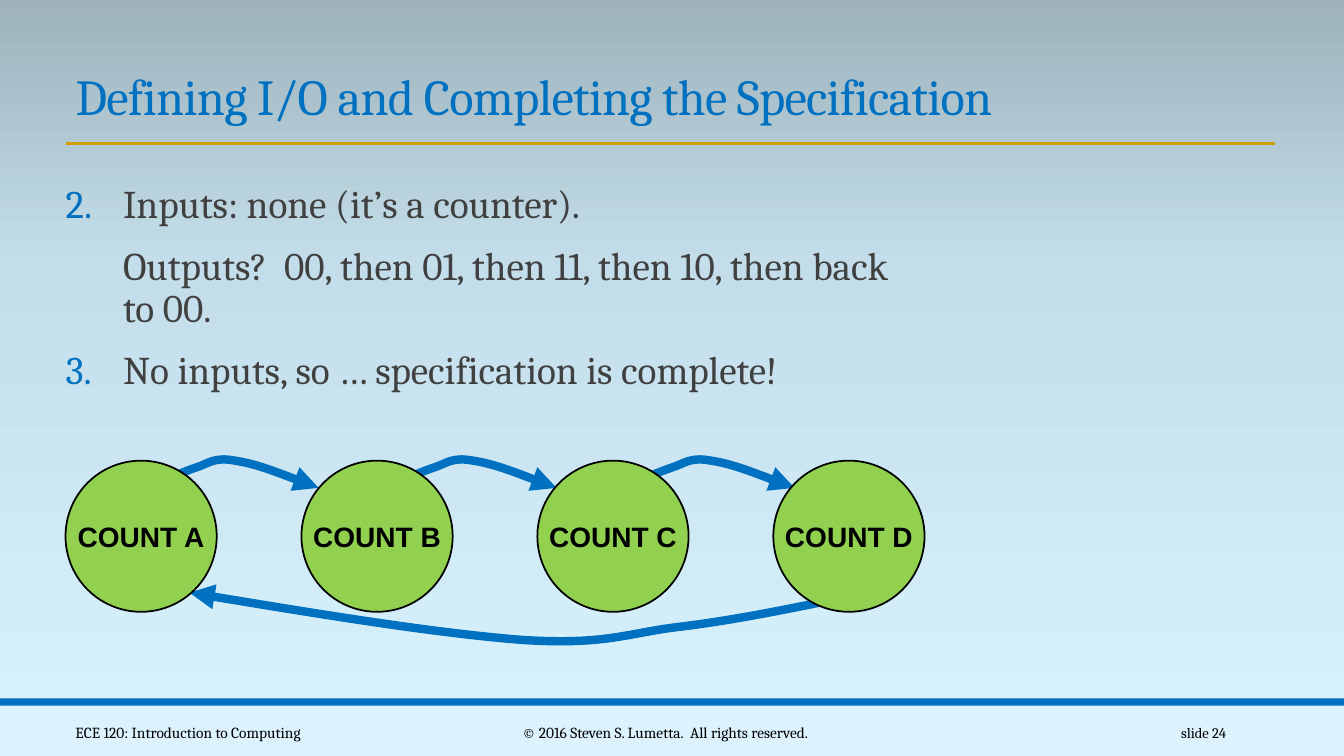
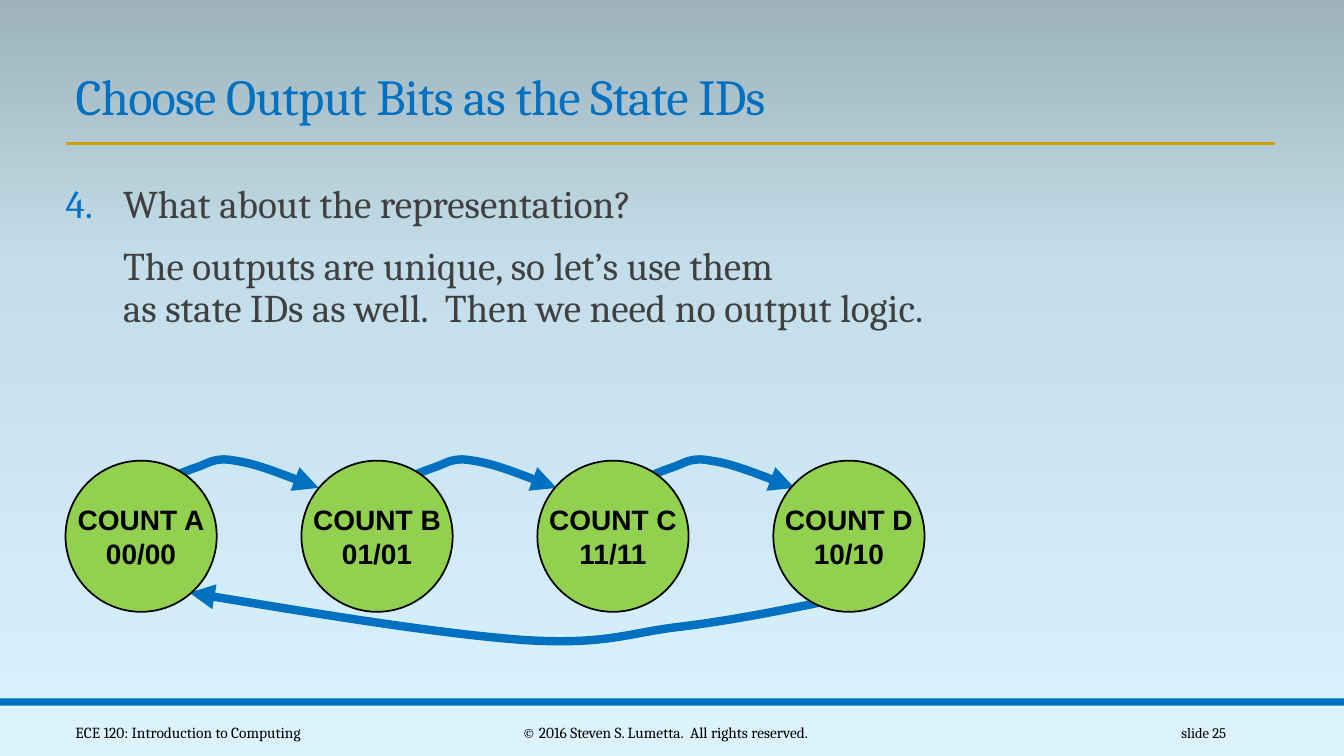
from copy import deepcopy
from dataclasses import dataclass

from lxml import etree
from pptx import Presentation
from pptx.dml.color import RGBColor
from pptx.enum.shapes import MSO_CONNECTOR, MSO_SHAPE
from pptx.enum.text import MSO_ANCHOR, MSO_AUTO_SIZE, PP_ALIGN
from pptx.oxml.ns import qn
from pptx.util import Inches, Pt

LEFT, CENTER, RIGHT = PP_ALIGN.LEFT, PP_ALIGN.CENTER, PP_ALIGN.RIGHT
MIDDLE, BOTTOM = MSO_ANCHOR.MIDDLE, MSO_ANCHOR.BOTTOM
NO_AUTOFIT = MSO_AUTO_SIZE.NONE
RECTANGLE, OVAL = MSO_SHAPE.RECTANGLE, MSO_SHAPE.OVAL
STRAIGHT = MSO_CONNECTOR.STRAIGHT
TITLE_ONLY = 5


@dataclass(frozen=True)
class Theme:
    accent: str = "0070C0"
    rule: str = "D09E00"
    band: str = "DCF3FD"
    body: str = "404040"
    ink: str = "000000"
    state: str = "92D050"
    backdrop: tuple = ((0, "DAF4FF"), (0.65, "C3DEEA"), (1, "9DB2BA"))
    text_font: str = "Cambria"
    state_font: str = "Arial"
    title_size: float = 36
    body_size: float = 28
    state_size: float = 20
    footer_size: float = 11
    number_size: float = 10.5


THEME = Theme()
WIDTH, HEIGHT = 13.33, 7.5
MARGIN = 0.65
CONTENT_WIDTH = 12
BODY_WIDTH = 8.52
INDENT = 0.57
BAND_HEIGHT, STRIPE_HEIGHT = 0.5, 0.07
BAND_TOP = HEIGHT - BAND_HEIGHT

STATE_TOP, STATE_SIZE = 4.57, 1.5
STATE_PITCH = (BODY_WIDTH - STATE_SIZE) / 3
HOP_PITCH = 2.36
HOP = [(0.92, 0.22),
       (1.04, 0.17), (1.17, 0.11), (1.29, 0.07),
       (1.42, 0.03), (1.47, -0.04), (1.68, 0),
       (1.88, 0.03), (2.19, 0.15), (2.51, 0.27)]
RETURN = [(7.57, 1.39),
          (7.08, 1.49), (6.58, 1.59), (6.08, 1.65),
          (5.58, 1.71), (5.36, 1.83), (4.55, 1.78),
          (3.74, 1.72), (2.49, 1.52), (1.23, 1.31)]

STATE_NAMES = ["COUNT A", "COUNT B", "COUNT C", "COUNT D"]
STATE_BITS = ["00/00", "01/01", "11/11", "10/10"]

PAGES = [
    (24, "Defining I/O and Completing the Specification",
     [(2, "Inputs: none (it’s a counter)."),
      (None, "Outputs?  00, then 01, then 11, then 10, then back to 00."),
      (3, "No inputs, so … specification is complete!")],
     [[name] for name in STATE_NAMES]),
    (25, "Choose Output Bits as the State IDs",
     [(4, "What about the representation?"),
      (None, "The outputs are unique, so let’s use them \n"
             "as state IDs as well.  Then we need no output logic.")],
     [list(label) for label in zip(STATE_NAMES, STATE_BITS)]),
]


def color(value):
    return RGBColor.from_string(value)


def inches(*values):
    return [Inches(value) for value in values]


def add_span(para, text, size, ink, font=THEME.text_font, bold=False):
    for index, line in enumerate(text.split("\n")):
        if index:
            para.add_line_break()
        span = para.add_run()
        span.text = line
        span.font.size = Pt(size)
        span.font.name = font
        span.font.bold = bold
        span.font.color.rgb = color(ink)
    return span


def set_backdrop(master):
    fill = master.background.fill
    fill.gradient()
    fill.gradient_angle = 90
    stop_list = master.element.find(".//" + qn("a:gsLst"))
    stop_list.append(deepcopy(stop_list[0]))
    for stop, (position, value) in zip(fill.gradient_stops, THEME.backdrop):
        stop.position = position
        stop.color.rgb = color(value)


def add_band(page, top, height, value):
    band = page.shapes.add_shape(RECTANGLE, *inches(0, top, WIDTH, height))
    band.shadow.inherit = False
    band.fill.solid()
    band.fill.fore_color.rgb = color(value)
    band.line.fill.background()


def add_rule(page, top):
    rule = page.shapes.add_connector(
        STRAIGHT, *inches(MARGIN, top, MARGIN + CONTENT_WIDTH, top))
    rule.line.color.rgb = color(THEME.rule)
    rule.line.width = Pt(2)
    etree.SubElement(rule.element.spPr, qn("a:effectLst"))


def set_title(page, text):
    title = page.shapes.title
    title.left, title.top, title.width, title.height = inches(
        MARGIN, 0.59, CONTENT_WIDTH, 0.71)
    frame = title.text_frame
    frame.auto_size = NO_AUTOFIT
    frame.vertical_anchor = BOTTOM
    para = frame.paragraphs[0]
    para.alignment = LEFT
    para.line_spacing = 0.85
    span = add_span(para, text, THEME.title_size, THEME.accent)
    span.font._element.set("spc", "-50")


def add_footer(page, left, width, text, alignment, size):
    box = page.shapes.add_textbox(*inches(left, 7.07, width, 0.4))
    frame = box.text_frame
    frame.word_wrap = True
    frame.vertical_anchor = MIDDLE
    para = frame.paragraphs[0]
    para.alignment = alignment
    add_span(para, text, size, THEME.ink)


def add_frame(page, number):
    add_band(page, BAND_TOP, BAND_HEIGHT, THEME.band)
    add_band(page, BAND_TOP - STRIPE_HEIGHT, STRIPE_HEIGHT, THEME.accent)
    add_rule(page, 1.42)
    add_footer(page, MARGIN, 3.25, "ECE 120: Introduction to Computing",
               LEFT, THEME.footer_size)
    add_footer(page, 4.03, 5.14,
               "© 2016 Steven S. Lumetta.  All rights reserved.",
               CENTER, THEME.footer_size)
    add_footer(page, 10.83, 1.43, f"slide {number}", RIGHT, THEME.number_size)


def set_numbering(para, number):
    properties = para._p.get_or_add_pPr()
    properties.set("marL", str(Inches(INDENT)))
    properties.set("indent", str(-Inches(INDENT) if number else 0))
    if number:
        bullet_color = etree.SubElement(properties, qn("a:buClr"))
        etree.SubElement(bullet_color, qn("a:srgbClr"), val=THEME.accent)
        etree.SubElement(properties, qn("a:buAutoNum"),
                         type="arabicPeriod", startAt=str(number))


def add_steps(page, steps):
    box = page.shapes.add_textbox(*inches(MARGIN, 1.78, BODY_WIDTH, 4.64))
    frame = box.text_frame
    frame.word_wrap = True
    frame.margin_left = frame.margin_right = 0
    for index, (number, text) in enumerate(steps):
        para = frame.add_paragraph() if index else frame.paragraphs[0]
        para.line_spacing = 0.9
        para.space_before = Pt(12)
        para.space_after = Pt(2)
        set_numbering(para, number)
        add_span(para, text, THEME.body_size, THEME.body)


def bend(arrow, points):
    outline = arrow.element.find(".//" + qn("a:path"))
    for segment in outline.findall(qn("a:lnTo")):
        outline.remove(segment)
    for first in range(1, len(points), 3):
        curve = etree.SubElement(outline, qn("a:cubicBezTo"))
        for x, y in points[first:first + 3]:
            etree.SubElement(curve, qn("a:pt"),
                             x=str(x - arrow.left), y=str(y - arrow.top))


def add_curved_arrow(page, left, controls):
    points = [inches(left + x, STATE_TOP + y) for x, y in controls]
    builder = page.shapes.build_freeform(*points[0])
    builder.add_line_segments(points[3::3], close=False)
    arrow = builder.convert_to_shape()
    bend(arrow, points)
    arrow.shadow.inherit = False
    arrow.fill.background()
    arrow.line.color.rgb = color(THEME.accent)
    arrow.line.width = Pt(6)
    etree.SubElement(arrow.line._get_or_add_ln(), qn("a:tailEnd"),
                     type="triangle")


def add_state(page, left, lines):
    state = page.shapes.add_shape(
        OVAL, *inches(left, STATE_TOP, STATE_SIZE, STATE_SIZE))
    state.shadow.inherit = False
    state.fill.solid()
    state.fill.fore_color.rgb = color(THEME.state)
    state.line.color.rgb = color(THEME.ink)
    state.line.width = Pt(1.25)
    frame = state.text_frame
    frame.word_wrap = False
    frame.vertical_anchor = MIDDLE
    frame.margin_left = frame.margin_right = 0
    frame.margin_top = frame.margin_bottom = 0
    for index, line in enumerate(lines):
        para = frame.add_paragraph() if index else frame.paragraphs[0]
        para.alignment = CENTER
        add_span(para, line, THEME.state_size, THEME.ink,
                 THEME.state_font, bold=True)


def add_state_diagram(page, labels):
    add_curved_arrow(page, MARGIN, RETURN)
    for index in reversed(range(len(labels))):
        if index:
            add_curved_arrow(page, MARGIN + (index - 1) * HOP_PITCH, HOP)
        add_state(page, MARGIN + index * STATE_PITCH, labels[index])


def main():
    deck = Presentation()
    deck.slide_width, deck.slide_height = inches(WIDTH, HEIGHT)
    set_backdrop(deck.slide_master)
    for number, title, steps, labels in PAGES:
        page = deck.slides.add_slide(deck.slide_layouts[TITLE_ONLY])
        add_frame(page, number)
        set_title(page, title)
        add_steps(page, steps)
        add_state_diagram(page, labels)
    deck.save("out.pptx")


if __name__ == "__main__":
    main()
